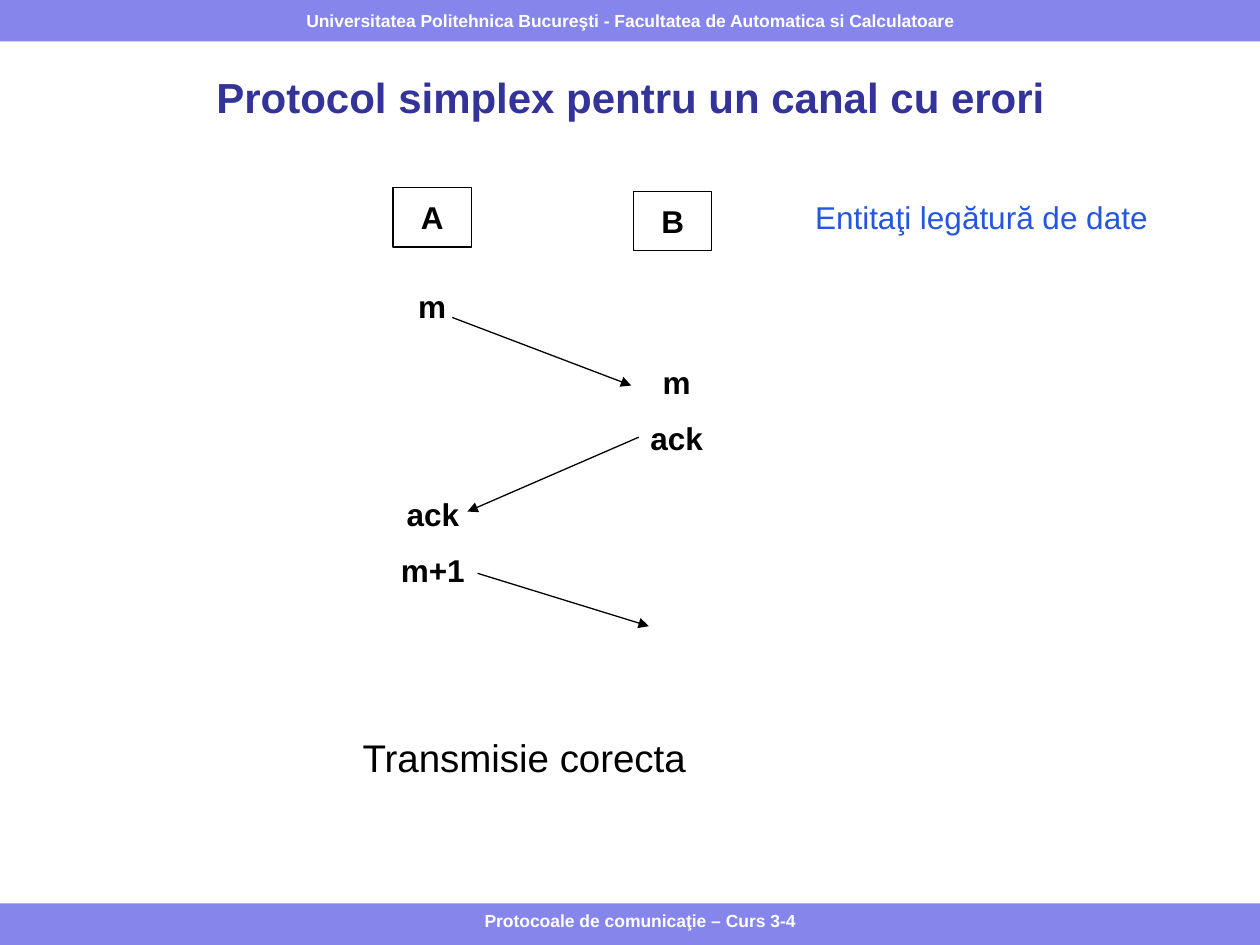
from typing import NamedTuple

from lxml.etree import SubElement
from pptx import Presentation
from pptx.dml.color import RGBColor
from pptx.enum.shapes import MSO_CONNECTOR as Connector, MSO_SHAPE as Shape
from pptx.enum.text import MSO_ANCHOR as Anchor, PP_ALIGN as Align
from pptx.oxml.ns import qn
from pptx.util import Inches, Pt

# The slide is a grid of 100 columns by 75 rows
COLUMNS, ROWS = 100, 75
CELL = Inches(0.1)
BAND_ROWS = 3.3
BLACK, WHITE, NAVY, BLUE, LILAC = "000000", "FFFFFF", "333399", "2556DF", "8585EB"


class Area(NamedTuple):
    column: float
    row: float
    columns: float
    rows: float


class Style(NamedTuple):
    size: float
    color: str = BLACK
    bold: bool = False
    align: Align = Align.CENTER


class Label(NamedTuple):
    text: str
    area: Area
    style: Style


class Message(NamedTuple):
    start: tuple[float, float]
    end: tuple[float, float]


def rgb(color: str) -> RGBColor:
    return RGBColor.from_string(color)


def cells(values) -> list[int]:
    return [round(value * CELL) for value in values]


def write(frame, text: str, style: Style) -> None:
    frame.text = text
    for index, paragraph in enumerate(frame.paragraphs):
        paragraph.alignment = style.align
        if index:
            paragraph.space_before = Pt(style.size * 0.57)
        for run in paragraph.runs:
            font = run.font
            font.name, font.size, font.bold = "Arial", Pt(style.size), style.bold
            font.color.rgb = rgb(style.color)


def add_box(slide, area: Area, fill: str = "", line: str = "",
            text: str = "", style: Style = Style(18)) -> None:
    box = slide.shapes.add_shape(Shape.RECTANGLE, *cells(area))
    box.shadow.inherit = False
    if fill:
        box.fill.solid()
        box.fill.fore_color.rgb = rgb(fill)
    else:
        box.fill.background()
    if line:
        box.line.color.rgb = rgb(line)
        box.line.width = Pt(0.75)
    else:
        box.line.fill.background()
    if text:
        write(box.text_frame, text, style)
        box.text_frame.word_wrap = False
        box.text_frame.vertical_anchor = Anchor.MIDDLE


def add_label(slide, label: Label) -> None:
    frame = slide.shapes.add_textbox(*cells(label.area)).text_frame
    frame.word_wrap = True
    write(frame, label.text, label.style)


def add_message(slide, message: Message) -> None:
    arrow = slide.shapes.add_connector(
        Connector.STRAIGHT, *cells(message.start + message.end))
    arrow.line.color.rgb = rgb(BLACK)
    arrow.line.width = Pt(0.75)
    SubElement(arrow.line._get_or_add_ln(), qn("a:tailEnd"), type="triangle")
    SubElement(arrow._element.spPr, qn("a:effectLst"))


BAND_STYLE = Style(10, WHITE, bold=True)
NODE_STYLE = Style(18, bold=True)

ENTITIES = [
    Label("A", Area(31.2, 14.9, 6.2, 4.7), NODE_STYLE),
    Label("B", Area(50.3, 15.2, 6.2, 4.7), NODE_STYLE),
]
LABELS = [
    Label("m", Area(31.2, 22.3, 6.2, 4), NODE_STYLE),
    Label("m\nack", Area(50.6, 28.3, 6.2, 8.5), NODE_STYLE),
    Label("ack\nm+1", Area(30.7, 38.8, 7.3, 8.5), NODE_STYLE),
    Label("Entitaţi legătură de date", Area(63.7, 15.2, 29.8, 4),
          Style(18, BLUE, align=Align.LEFT)),
    Label("Transmisie corecta", Area(27.8, 57.8, 33.5, 6),
          Style(22, align=Align.LEFT)),
    Label("Protocoale de comunicaţie – Curs 3-4",
          Area(25.8, ROWS - BAND_ROWS, 50, BAND_ROWS), BAND_STYLE),
]
MESSAGES = [
    Message((35.9, 25.2), (50.1, 30.6)),
    Message((50.7, 34.7), (37.1, 40.6)),
    Message((37.9, 45.5), (51.5, 49.7)),
]


def main() -> None:
    deck = Presentation()
    deck.slide_width, deck.slide_height = cells((COLUMNS, ROWS))
    slide = deck.slides.add_slide(deck.slide_layouts[5])

    # Header and footer bands
    add_box(slide, Area(0, ROWS - BAND_ROWS, COLUMNS, BAND_ROWS), fill=LILAC)
    add_box(slide, Area(0, 0, COLUMNS, BAND_ROWS), fill=LILAC, style=BAND_STYLE,
            text="Universitatea Politehnica Bucureşti - "
                 "Facultatea de Automatica si Calculatoare")

    # Title
    title = slide.shapes.title
    title.left, title.top, title.width, title.height = cells(Area(4.2, 5, 91.7, 5.3))
    write(title.text_frame, "Protocol simplex pentru un canal cu erori",
          Style(24, NAVY, bold=True))
    title.text_frame.vertical_anchor = Anchor.MIDDLE

    # Exchange between the two entities
    for entity in ENTITIES:
        add_box(slide, entity.area, line=BLACK, text=entity.text, style=entity.style)
    for label in LABELS:
        add_label(slide, label)
    for message in MESSAGES:
        add_message(slide, message)

    deck.save("out.pptx")


if __name__ == "__main__":
    main()
